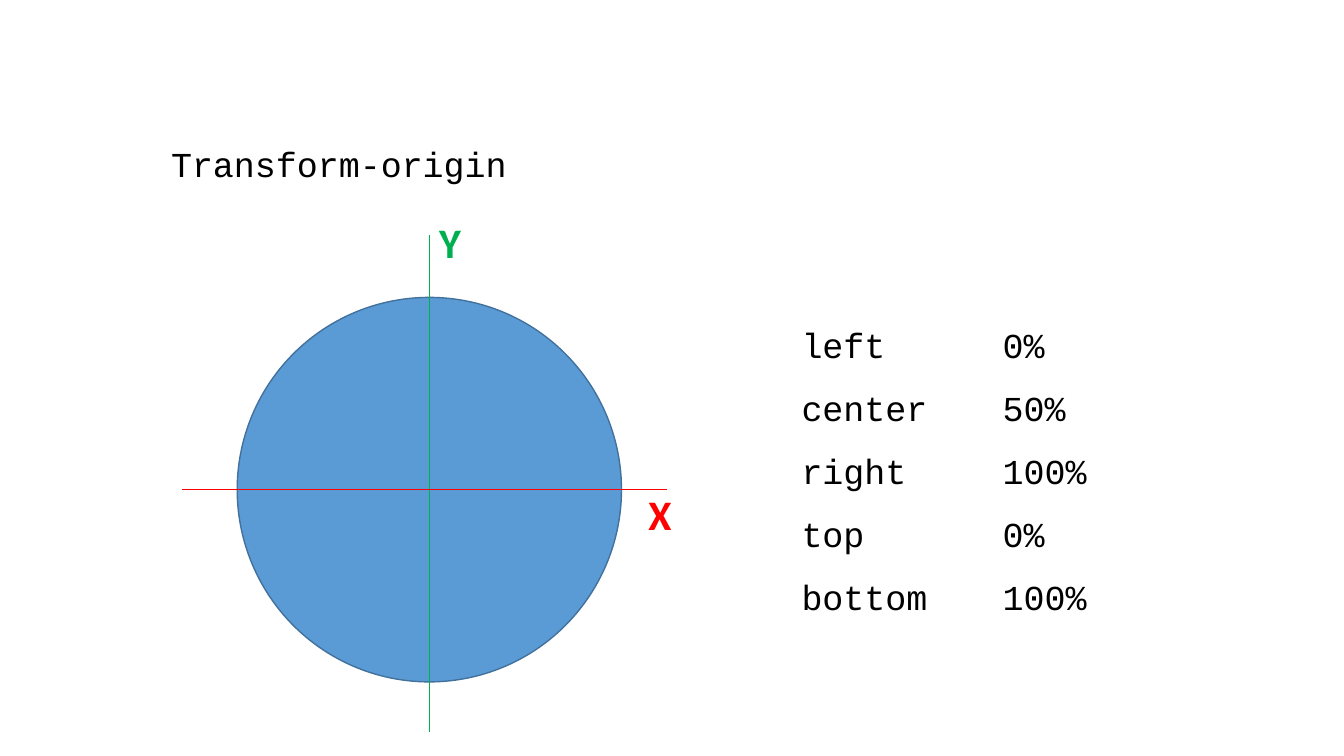
from lxml.etree import SubElement
from pptx import Presentation
from pptx.dml.color import RGBColor
from pptx.enum.shapes import MSO_CONNECTOR as CONNECTOR, MSO_SHAPE as SHAPE
from pptx.oxml.ns import qn
from pptx.util import Pt

PX = 9080
SLIDE_SIZE = (1343, 755)
COLORS = {"text": "000000", "circle": "5B9BD5", "outline": "41719C",
          "x": "FF0000", "y": "00B050"}

HEADING = "Transform-origin"
KEYWORDS = [("left", "0%"), ("center", "50%"), ("right", "100%"),
            ("top", "0%"), ("bottom", "100%")]
HEADING_BOX = (161, 116, 950, 74)
KEYWORDS_BOX = (791, 297, 482, 325)
VALUE_TAB = 201

CENTER_X, CENTER_Y, RADIUS = 429, 489, 192
AXES = [
    ("y", (CENTER_X, 235, CENTER_X, 731), "Y", (429, 211, 84, 60)),
    ("x", (182, CENTER_Y, 667, CENTER_Y), "X", (638, 483, 84, 60)),
]


def emu(lengths):
    return [length * PX for length in lengths]


def color(name):
    return RGBColor.from_string(COLORS[name])


def add_text(slide, box, lines, font, size, tint, bold=False, spacing=1.0):
    frame = slide.shapes.add_textbox(*emu(box)).text_frame
    frame.word_wrap = True
    frame.text = "\n".join(lines)
    for paragraph in frame.paragraphs:
        paragraph.line_spacing = spacing
        for run in paragraph.runs:
            run.font.name = font
            run.font.size = Pt(size)
            run.font.bold = bold
            run.font.color.rgb = color(tint)
    return frame


def add_axis(slide, ends, tint):
    axis = slide.shapes.add_connector(CONNECTOR.STRAIGHT, *emu(ends))
    axis.line.color.rgb = color(tint)
    axis.line.width = Pt(0.5)
    SubElement(axis._element.spPr, qn("a:effectLst"))


def main():
    deck = Presentation()
    deck.slide_width, deck.slide_height = emu(SLIDE_SIZE)
    slide = deck.slides.add_slide(deck.slide_layouts[6])

    add_text(slide, HEADING_BOX, [HEADING], "Courier New", 25, "text", spacing=1.5)

    circle = slide.shapes.add_shape(SHAPE.OVAL, *emu(
        (CENTER_X - RADIUS, CENTER_Y - RADIUS, 2 * RADIUS, 2 * RADIUS)))
    circle.shadow.inherit = False
    circle.fill.solid()
    circle.fill.fore_color.rgb = color("circle")
    circle.line.color.rgb = color("outline")
    circle.line.width = Pt(1)

    for tint, ends, label, label_box in AXES:
        add_axis(slide, ends, tint)
        add_text(slide, label_box, [label], "Calibri", 30, tint, bold=True)

    keywords = add_text(slide, KEYWORDS_BOX, ["\t".join(row) for row in KEYWORDS],
                        "Courier New", 25, "text", spacing=1.5)
    for paragraph in keywords.paragraphs:
        tabs = SubElement(paragraph._p.get_or_add_pPr(), qn("a:tabLst"))
        SubElement(tabs, qn("a:tab"), pos=str(VALUE_TAB * PX), algn="l")

    deck.save("out.pptx")


if __name__ == "__main__":
    main()
